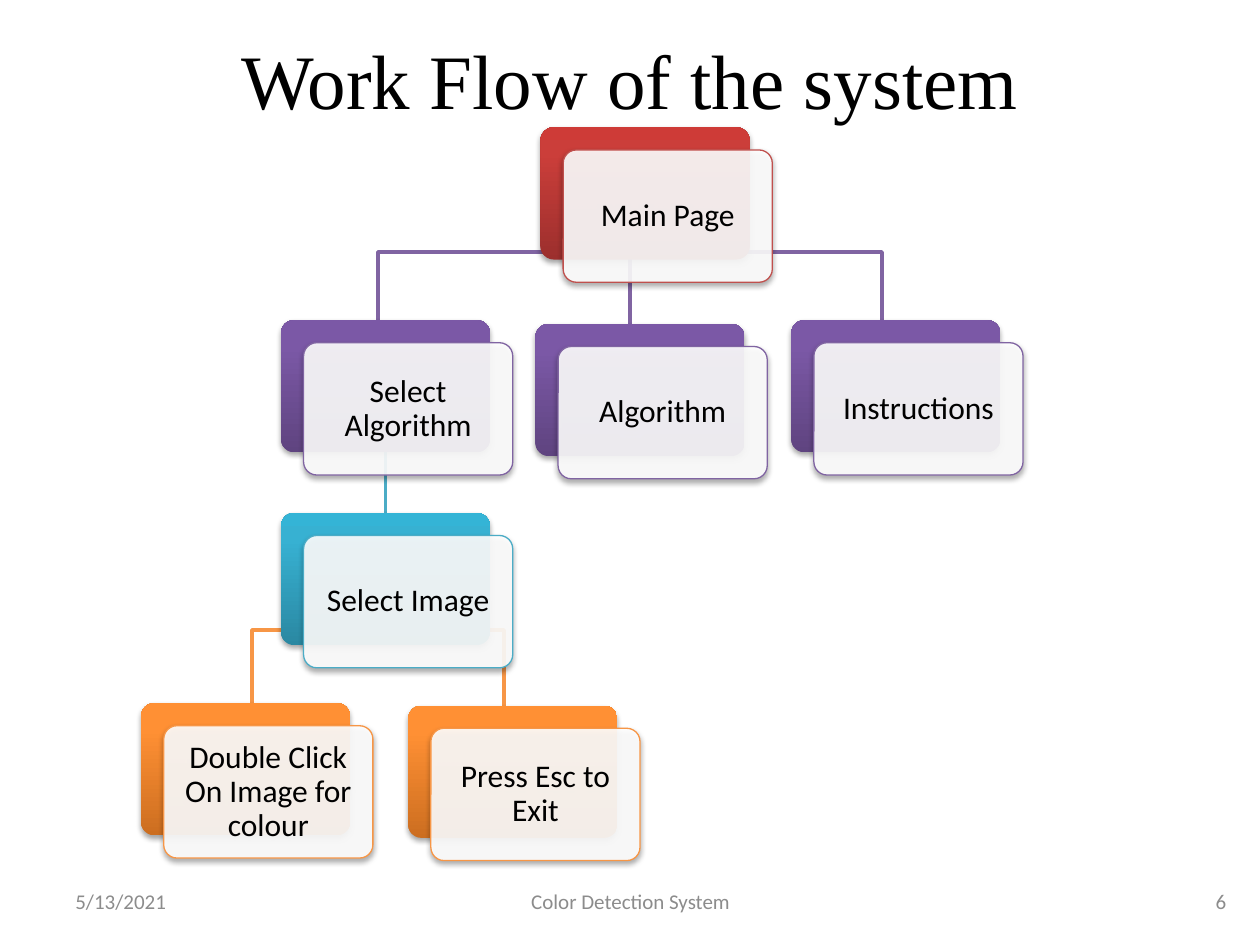
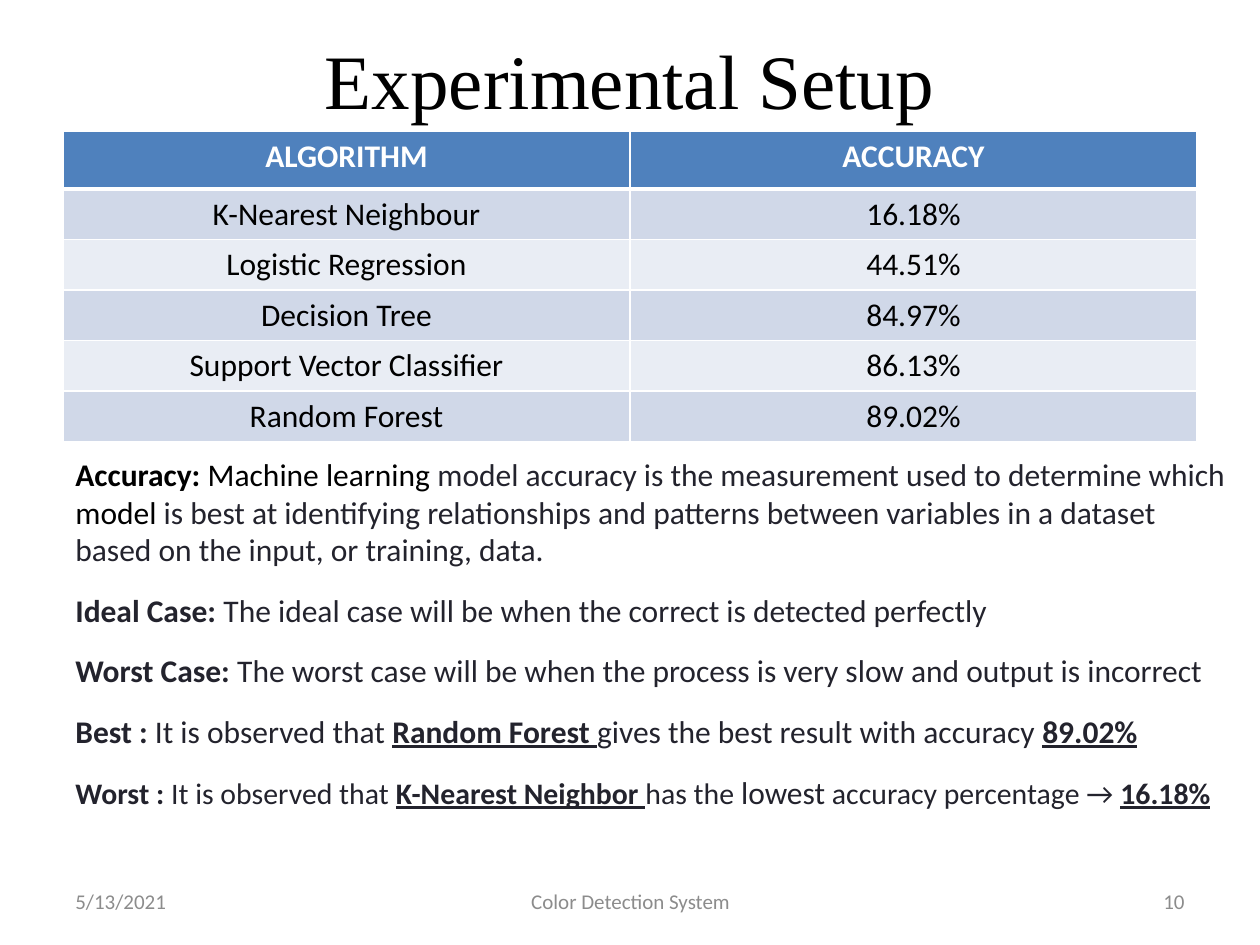
import pptx
import pptx.dml.color
import pptx.enum.shapes
import pptx.enum.text
import pptx.oxml
import pptx.oxml.ns
import pptx.util
from pptx.util import Inches

SHAPE = pptx.enum.shapes.MSO_SHAPE
ALIGN = pptx.enum.text.PP_ALIGN
ANCHOR = pptx.enum.text.MSO_ANCHOR

BLACK, WHITE, INK, GREY = "000000", "FFFFFF", "23232D", "8C8C8C"
DATE, FOOTER = "5/13/2021", "Color Detection System"

# level: outline colour, then gradient from bottom to top
LEVELS = {
    "main": ("C0504D", ("9C2F2D", "CB3E3A", "CE3B37")),
    "menu": ("8064A2", ("5F4480", "7B58A6", "7C57A8")),
    "image": ("4BACC6", ("2A88A2", "37B1D2", "34B4D6")),
    "action": ("F79646", ("CC6E20", "FF9034", "FF9136")),
}
# label: level, left, top, parent
STEPS = {
    "Main Page": ("main", 4.29, 1.01, None),
    "Select Algorithm": ("menu", 2.23, 2.54, "Main Page"),
    "Select Image": ("image", 2.23, 4.07, "Select Algorithm"),
    "Double Click On Image for colour": ("action", 1.12, 5.58, "Select Image"),
    "Press Esc to Exit": ("action", 3.24, 5.6, "Select Image"),
    "Algorithm": ("menu", 4.25, 2.57, "Main Page"),
    "Instructions": ("menu", 6.28, 2.54, "Main Page"),
}
BOX_W, BOX_H, CARD_OFFSET, BEND = 1.66, 1.05, 0.18, 0.15

RESULTS = [
    ("ALGORITHM", "ACCURACY"),
    ("K-Nearest Neighbour", "16.18%"),
    ("Logistic Regression", "44.51%"),
    ("Decision Tree", "84.97%"),
    ("Support Vector Classifier", "86.13%"),
    ("Random Forest", "89.02%"),
]
HEADER_FILL, BAND_FILLS = "4F81BD", ("E9EDF4", "D0D8E8")
HEADER_H, ROW_H = 0.46, 0.38

BOLD = {"bold": True}
KEY = {"bold": True, "underline": True}
DARK = {"color": BLACK}
SMALL = {"size": 17}
FINDINGS = [
    [("Accuracy: ", BOLD | DARK), ("Machine learning", DARK),
     (" model accuracy is the measurement used to determine which ", {}),
     ("model", DARK),
     (" is best at identifying relationships and patterns between variables in a dataset "
      "based on the input, or training, data.", {})],
    [("Ideal Case: ", BOLD),
     ("The ideal case will be when the correct is detected perfectly", {})],
    [("Worst Case: ", BOLD),
     ("The worst case will be when the process is very slow and output is incorrect", {})],
    [("Best : ", BOLD), ("It is observed that ", {}), ("Random Forest ", KEY),
     ("gives the best result with accuracy ", {}), ("89.02%", KEY)],
    [("Worst : ", BOLD | SMALL), ("It is observed that ", SMALL),
     ("K-Nearest Neighbor ", KEY | SMALL), ("has the ", SMALL), ("lowest", {}),
     (" accuracy percentage → ", SMALL), ("16.18%", KEY | SMALL)],
]


def rgb(color):
    return pptx.dml.color.RGBColor.from_string(color)


def xml(body):
    """Parse one DrawingML element whose tag starts with a:."""
    tag, rest = body[1:].split(" ", 1)
    return pptx.oxml.parse_xml(f"<{tag} {pptx.oxml.ns.nsdecls('a')} {rest}")


def write(p, text, size=18, font="Calibri", color=BLACK, bold=False, underline=False,
          align=None):
    if align is not None:
        p.alignment = align
    r = p.add_run()
    r.text = text
    r.font.size = pptx.util.Pt(size)
    r.font.name = font
    r.font.color.rgb = rgb(color)
    r.font.bold = bold
    r.font.underline = underline


def add_box(s, left, top, width, height, anchor=ANCHOR.MIDDLE):
    tf = s.shapes.add_textbox(*map(Inches, (left, top, width, height))).text_frame
    tf.word_wrap = True
    tf.vertical_anchor = anchor
    return tf


def add_slide(prs, title, number, number_left):
    s = prs.slides.add_slide(prs.slide_layouts[6])
    write(add_box(s, 0.5, 0, 9, 1.25).paragraphs[0], title, size=44,
          font="Times New Roman", align=ALIGN.CENTER)
    for text, left, width, align in (
        (DATE, 0.5, 2.33, ALIGN.LEFT),
        (FOOTER, 3.42, 3.17, ALIGN.CENTER),
        (number, number_left, 2.33, ALIGN.RIGHT),
    ):
        write(add_box(s, left, 6.95, width, 0.4).paragraphs[0], text, size=12,
              color=GREY, align=align)
    return s


def add_link(s, parent, child):
    level, left, top, _ = STEPS[child]
    _, parent_left, parent_top, _ = STEPS[parent]
    x1, y1 = parent_left + BOX_W / 2, parent_top + BOX_H
    x2, y2 = left + BOX_W / 2, top
    if x1 == x2:
        sp = s.shapes.add_connector(pptx.enum.shapes.MSO_CONNECTOR.STRAIGHT,
                                    *map(Inches, (x1, y1, x2, y2)))
        sp._element.spPr.append(xml("<a:effectLst />"))
    else:
        outline = s.shapes.build_freeform(x1, y1, scale=Inches(1))
        outline.add_line_segments([(x1, y2 - BEND), (x2, y2 - BEND), (x2, y2)], close=False)
        sp = outline.convert_to_shape()
        sp.fill.background()
        sp.shadow.inherit = False
    sp.line.color.rgb = rgb(LEVELS[level][0])
    sp.line.width = pptx.util.Pt(2)


def add_rounded(s, left, top):
    """Add a rounded box with a soft shadow below it."""
    sp = s.shapes.add_shape(SHAPE.ROUNDED_RECTANGLE,
                            *map(Inches, (left, top, BOX_W, BOX_H)))
    sp.adjustments[0] = 0.1
    sp.shadow.inherit = False
    effects = sp._element.spPr.find(pptx.oxml.ns.qn("a:effectLst"))
    effects.append(xml('<a:outerShdw blurRad="40000" dist="23000" dir="5400000" '
                       'rotWithShape="0"><a:srgbClr val="000000"><a:alpha val="35000"/>'
                       '</a:srgbClr></a:outerShdw>'))
    return sp


def add_step(s, label):
    level, left, top, _ = STEPS[label]
    outline, gradient = LEVELS[level]

    back = add_rounded(s, left, top)
    back.line.fill.background()
    back.fill.gradient()
    stops = back._element.spPr.find(pptx.oxml.ns.qn("a:gradFill"))
    stops.getparent().replace(stops, xml(
        '<a:gradFill rotWithShape="1"><a:gsLst>'
        + "".join(f'<a:gs pos="{pos}000"><a:srgbClr val="{color}"/></a:gs>'
                  for pos, color in zip((0, 80, 100), gradient))
        + '</a:gsLst><a:lin ang="16200000" scaled="0"/></a:gradFill>'))

    card = add_rounded(s, left + CARD_OFFSET, top + CARD_OFFSET)
    card.fill.solid()
    card.fill.fore_color.rgb = rgb(WHITE)
    card.fill._xPr.find(".//" + pptx.oxml.ns.qn("a:srgbClr")).append(
        xml('<a:alpha val="90000"/>'))
    card.line.color.rgb = rgb(outline)
    card.line.width = pptx.util.Pt(0.75)
    tf = card.text_frame
    tf.word_wrap = True
    tf.vertical_anchor = ANCHOR.MIDDLE
    tf.margin_left = tf.margin_right = tf.margin_top = tf.margin_bottom = Inches(0.07)
    p = tf.paragraphs[0]
    p.line_spacing = 0.9
    write(p, label, align=ALIGN.CENTER)


def set_borders(cell, top, bottom):
    """Draw white cell borders; top and bottom are widths in points."""
    tc_pr = cell._tc.get_or_add_tcPr()
    for i, (side, width) in enumerate((("L", 1), ("R", 1), ("T", top), ("B", bottom))):
        tc_pr.insert(i, xml(f'<a:ln{side} w="{width * 12700}"><a:solidFill>'
                            f'<a:srgbClr val="{WHITE}"/></a:solidFill></a:ln{side}>'))


def add_results(s):
    rows = len(RESULTS)
    height = HEADER_H + ROW_H * (rows - 1)
    table = s.shapes.add_table(rows, 2, *map(Inches, (0.5, 1.04, 9, height))).table
    for i, values in enumerate(RESULTS):
        header = i == 0
        table.rows[i].height = Inches(HEADER_H if header else ROW_H)
        for j, value in enumerate(values):
            cell = table.cell(i, j)
            cell.fill.solid()
            cell.fill.fore_color.rgb = rgb(HEADER_FILL if header else BAND_FILLS[i % 2])
            set_borders(cell, top=3 if i == 1 else 1, bottom=3 if header else 1)
            write(cell.text_frame.paragraphs[0], value, bold=header,
                  color=WHITE if header else BLACK, align=ALIGN.CENTER)


def add_findings(s):
    tf = add_box(s, 0.5, 3.56, 9.42, 2.95, anchor=ANCHOR.TOP)
    for i, runs in enumerate(FINDINGS):
        p = tf.add_paragraph() if i else tf.paragraphs[0]
        p.space_before = pptx.util.Pt(13 if i else 0)
        for text, style in runs:
            write(p, text, **({"color": INK} | style))


def main():
    prs = pptx.Presentation()
    prs.slide_width, prs.slide_height = Inches(10), Inches(7.5)

    s = add_slide(prs, "Work Flow of the system", "6", 7.5)
    for label, (_, _, _, parent) in STEPS.items():
        if parent:
            add_link(s, parent, label)
    for label in STEPS:
        add_step(s, label)

    s = add_slide(prs, "Experimental Setup", "10", 7.17)
    add_results(s)
    add_findings(s)

    prs.save("out.pptx")


if __name__ == "__main__":
    main()
